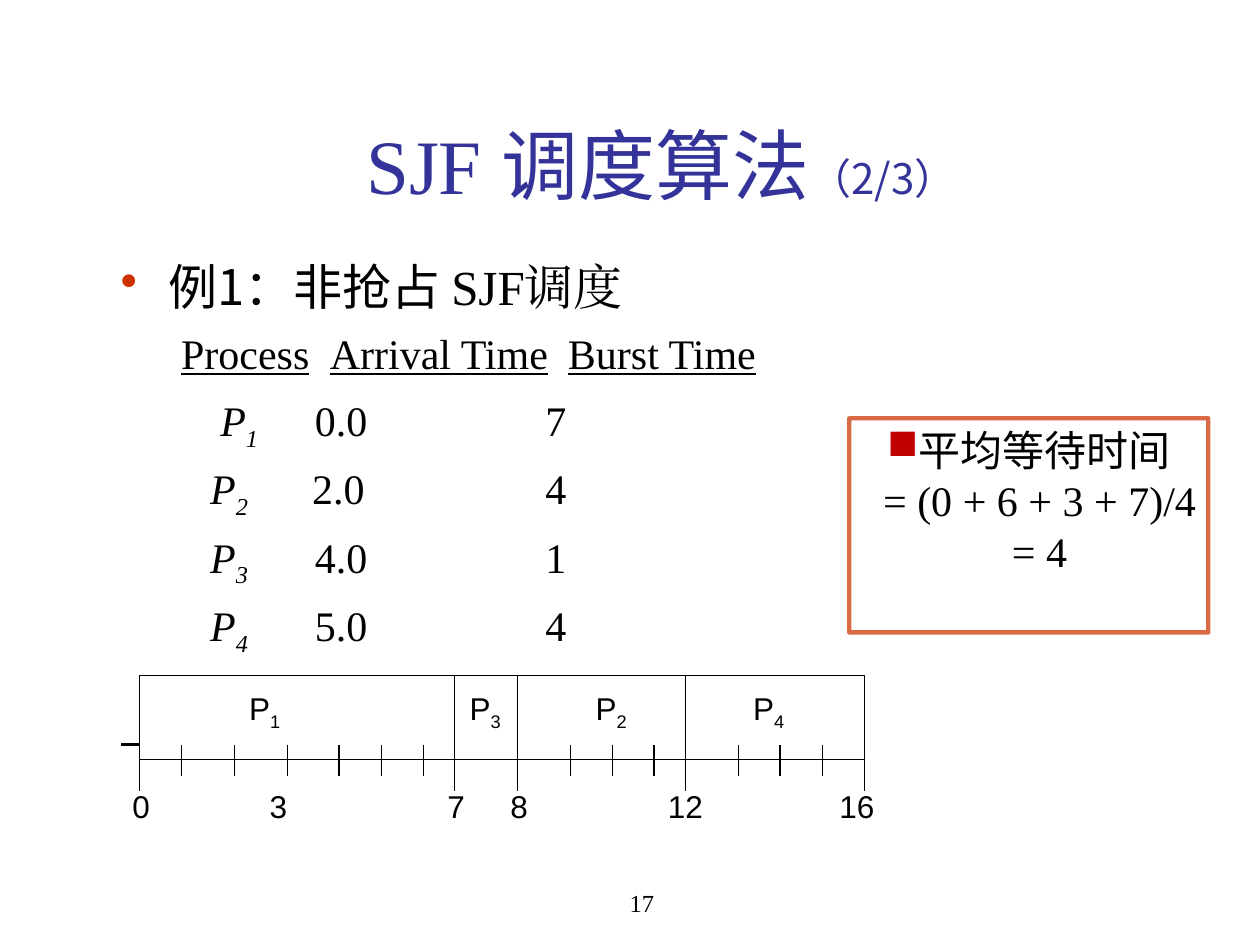
"""Build the slide on non-preemptive SJF scheduling with its Gantt chart."""
from lxml.etree import SubElement
from pptx import Presentation
from pptx.dml.color import RGBColor
from pptx.enum.shapes import MSO_CONNECTOR as Connector, MSO_SHAPE as Shape
from pptx.enum.text import MSO_ANCHOR as Anchor, PP_ALIGN as Align
from pptx.oxml.ns import qn
from pptx.util import Inches, Pt

SERIF, SANS, CJK = "Times New Roman", "Arial", "Noto Sans CJK SC"
hex_color = RGBColor.from_string


def add_run(paragraph, text, size, font, color="000000", subscript=False):
    run = paragraph.add_run()
    run.text = text
    run.font.size = Pt(size)
    run.font.name = font
    run.font.color.rgb = hex_color(color)
    properties = run._r.get_or_add_rPr()
    SubElement(properties, qn("a:ea"), typeface=font)
    if subscript:
        properties.set("baseline", "-25000")
    return run


def add_line(shapes, x1, y1, x2, y2, width=0.75):
    line = shapes.add_connector(Connector.STRAIGHT, Inches(x1), Inches(y1), Inches(x2), Inches(y2))
    line.line.width = Pt(width)
    line.line.color.rgb = hex_color("000000")
    SubElement(line._element.spPr, qn("a:effectLst"))


presentation = Presentation()
presentation.slide_width = Inches(10)
presentation.slide_height = Inches(7.5)
slide = presentation.slides.add_slide(presentation.slide_layouts[6])

number = slide.shapes.add_textbox(Inches(3.51), Inches(7), Inches(3.17), Inches(0.5))
paragraph = number.text_frame.paragraphs[0]
paragraph.alignment = Align.CENTER
add_run(paragraph, "17", 14, SERIF)

title = slide.shapes.add_textbox(Inches(1), Inches(0.67), Inches(8.5), Inches(1.25))
title.text_frame.word_wrap = True
title.text_frame.vertical_anchor = Anchor.MIDDLE
paragraph = title.text_frame.paragraphs[0]
paragraph.alignment = Align.CENTER
for text, size, font in [("SJF ", 44, SERIF), ("调度算法", 44, CJK), ("（2/3）", 24, CJK)]:
    add_run(paragraph, text, size, font, "333399")

body = slide.shapes.add_textbox(Inches(0.86), Inches(2.04), Inches(7.26), Inches(4.68))
body.text_frame.word_wrap = True
paragraph = body.text_frame.paragraphs[0]
properties = paragraph._p.get_or_add_pPr()
properties.set("marL", str(Inches(0.38)))
properties.set("indent", str(Inches(-0.38)))
SubElement(SubElement(properties, qn("a:buClr")), qn("a:srgbClr"), val="CC3300")
SubElement(properties, qn("a:buChar"), char="•")
paragraph.line_spacing = 0.9
add_run(paragraph, "例1：非抢占 ", 28, CJK)
add_run(paragraph, "SJF调度", 28, SERIF)

rows = [
    ("Process", "", "Arrival Time", "Burst Time", (0.48, 1.66, 3.55)),
    ("P", "1", "0.0", "7", (0.79, 1.54, 3.37)),
    ("P", "2", "2.0", "4", (0.71, 1.52, 3.37)),
    ("P", "3", "4.0", "1", (0.71, 1.54, 3.37)),
    ("P", "4", "5.0", "4", (0.71, 1.54, 3.37)),
]
for process, index, arrival, burst, stops in rows:
    paragraph = body.text_frame.add_paragraph()
    tabs = SubElement(paragraph._p.get_or_add_pPr(), qn("a:tabLst"))
    for stop in stops:
        SubElement(tabs, qn("a:tab"), pos=str(Inches(stop)), algn="l")
    paragraph.line_spacing = 0.9
    paragraph.space_before = Pt(6)
    add_run(paragraph, "\t", 28, SERIF)
    if index:
        add_run(paragraph, process, 24, SERIF).font.italic = True
        add_run(paragraph, index, 24, SERIF, subscript=True).font.italic = True
        add_run(paragraph, f"\t{arrival}\t{burst}", 24, SERIF)
    else:
        add_run(paragraph, f"{process}\t{arrival}\t{burst}", 24, SERIF).font.underline = True

LEFT, RIGHT, TOP, BOTTOM = 1.11, 6.86, 5.36, 6.03
dividers = [3.61, 4.11, 5.44]
ticks = [1.44, 1.86, 2.28, 2.69, 3.03, 3.36, 4.53, 4.86, 5.19, 5.86, 6.19, 6.53]
add_line(slide.shapes, 0.96, 5.91, LEFT, 5.91, 1.5)
gantt = slide.shapes.add_group_shape().shapes
bar = gantt.add_shape(Shape.RECTANGLE, Inches(LEFT), Inches(TOP), Inches(RIGHT - LEFT), Inches(BOTTOM - TOP))
bar.shadow.inherit = False
bar.fill.solid()
bar.fill.fore_color.rgb = hex_color("FFFFFF")
bar.line.color.rgb = hex_color("000000")
bar.line.width = Pt(0.75)
for x in dividers:
    add_line(gantt, x, TOP, x, BOTTOM)
for x in [LEFT, *dividers, RIGHT]:
    add_line(gantt, x, BOTTOM, x, 6.28)
for x in ticks:
    add_line(gantt, x, 5.91, x, 6.16)

processes = [("P", "1", 2.1), ("P", "3", 3.85), ("P", "2", 4.85), ("P", "4", 6.1)]
times = [("0", "", 1.12), ("3", "", 2.21), ("7", "", 3.62), ("8", "", 4.12), ("12", "", 5.44), ("16", "", 6.8)]
for text, index, center in processes + times:
    top, width, height = (5.42, 0.45, 0.44) if index else (6.2, 0.2 + 0.14 * len(text), 0.4)
    label = gantt.add_textbox(Inches(center - width / 2), Inches(top), Inches(width), Inches(height))
    label.text_frame.word_wrap = False
    label.text_frame.vertical_anchor = Anchor.MIDDLE
    paragraph = label.text_frame.paragraphs[0]
    paragraph.alignment = Align.CENTER
    add_run(paragraph, text, 18, SANS)
    if index:
        add_run(paragraph, index, 18, SANS, subscript=True)

average = slide.shapes.add_shape(Shape.RECTANGLE, Inches(6.74), Inches(3.32), Inches(2.85), Inches(1.7))
average.shadow.inherit = False
average.fill.background()
average.line.color.rgb = hex_color("CC3300")
average.line.width = Pt(2.5)
line_color = average.line.fill._xPr.find(qn("a:solidFill")).find(qn("a:srgbClr"))
SubElement(line_color, qn("a:alpha"), val="73000")
frame = average.text_frame
frame.word_wrap = False
frame.vertical_anchor = Anchor.TOP
paragraph = frame.paragraphs[0]
paragraph.alignment = Align.CENTER
properties = paragraph._p.get_or_add_pPr()
SubElement(SubElement(properties, qn("a:buClr")), qn("a:srgbClr"), val="C00000")
SubElement(properties, qn("a:buChar"), char="■")
add_run(paragraph, "平均等待时间", 24, CJK)
for text in ["= (0 + 6 + 3 + 7)/4", "= 4"]:
    paragraph = frame.add_paragraph()
    paragraph.alignment = Align.CENTER
    paragraph._p.get_or_add_pPr().set("marL", str(Inches(0.17)))
    add_run(paragraph, text, 24, SERIF)

presentation.save("out.pptx")
